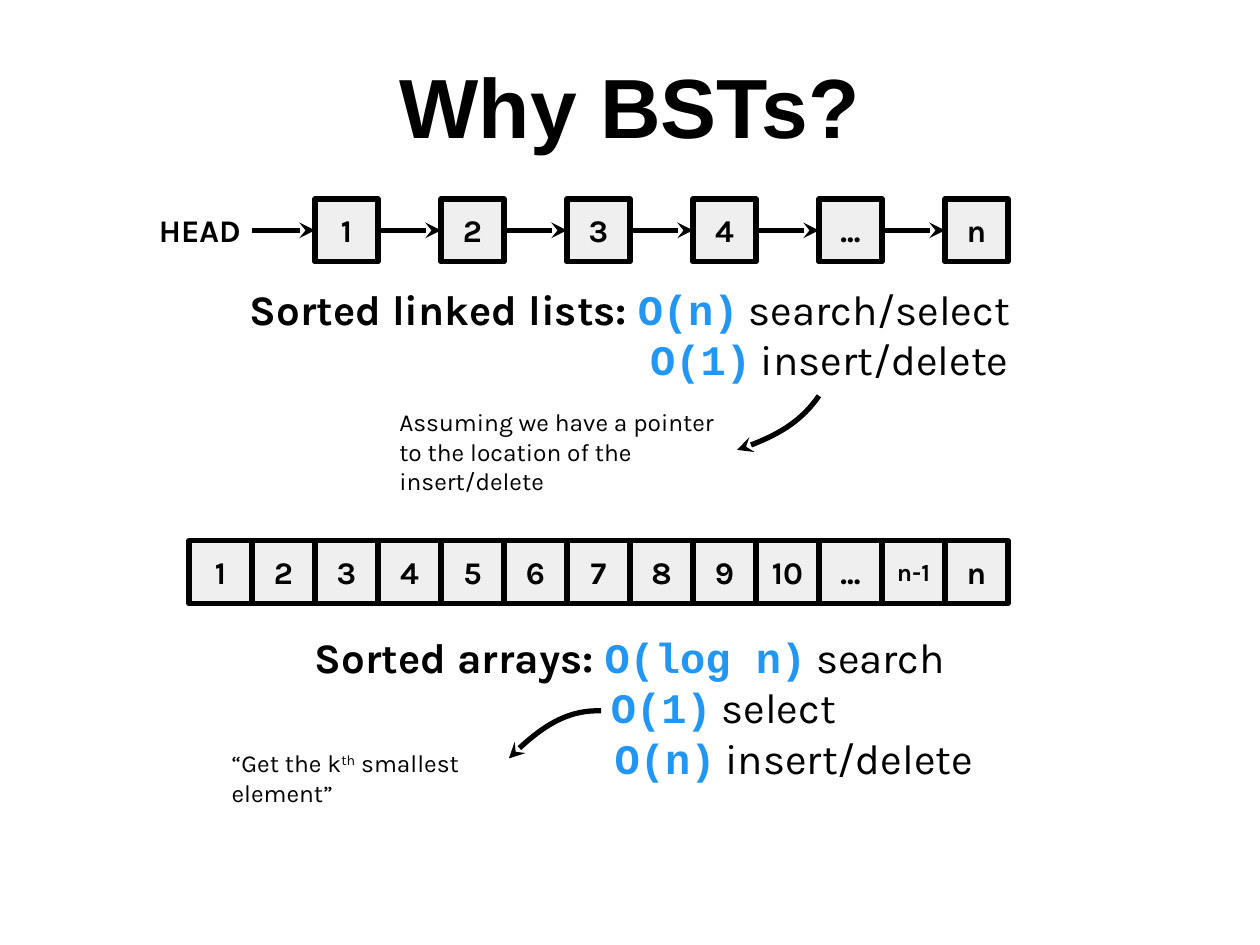
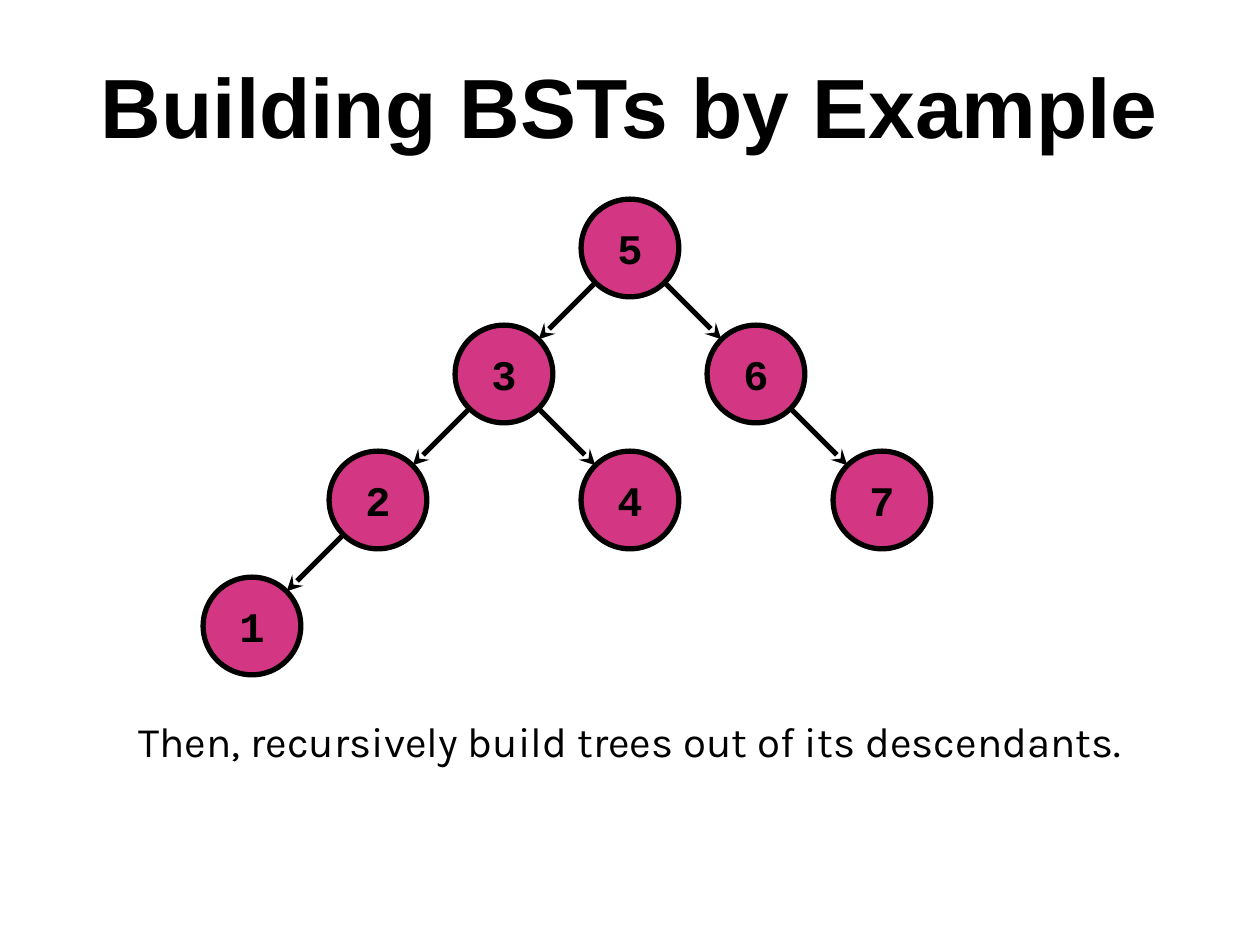
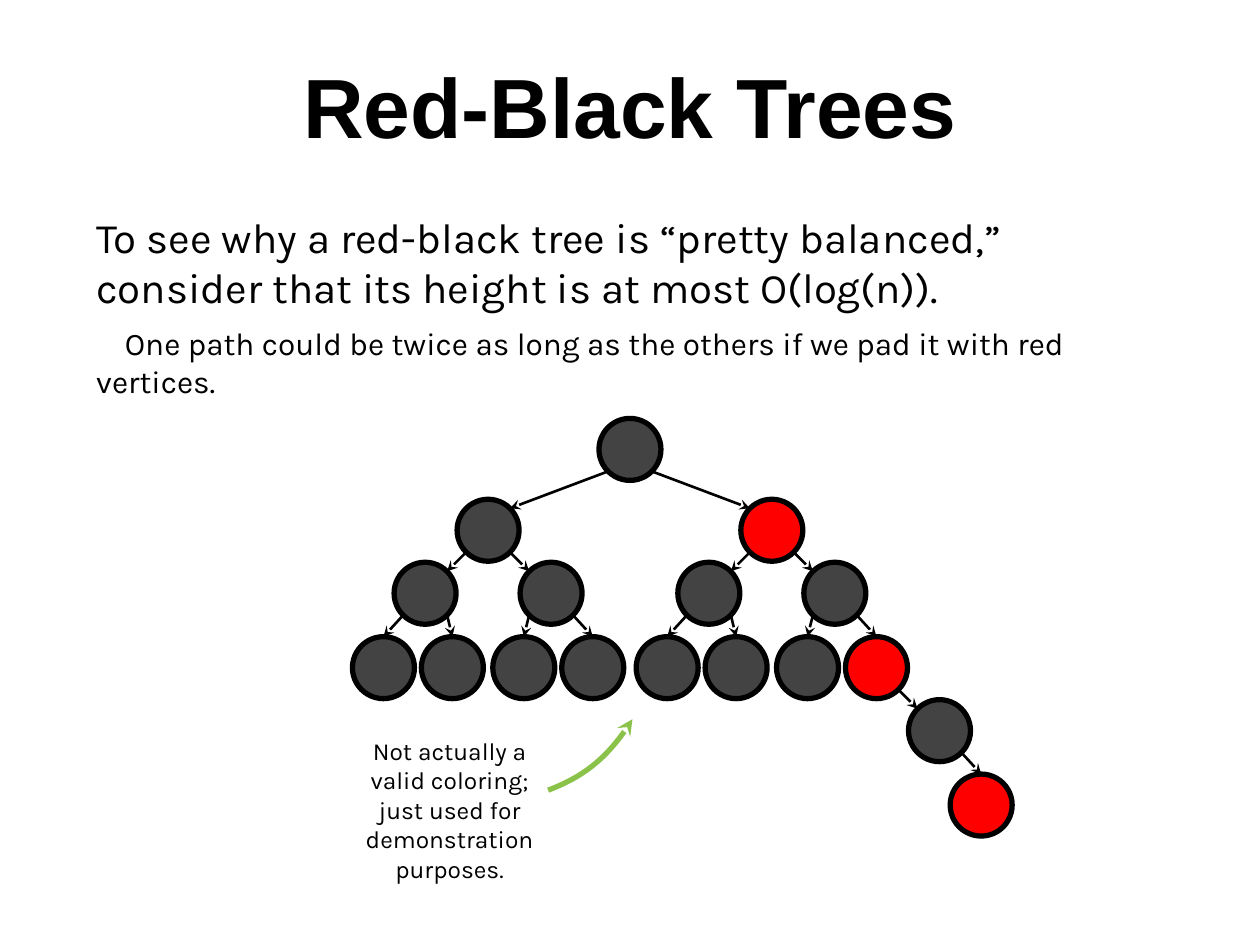
from dataclasses import dataclass
from lxml import etree
from pptx import Presentation
from pptx.dml.color import RGBColor
from pptx.enum.shapes import MSO_CONNECTOR, MSO_SHAPE
from pptx.enum.text import MSO_ANCHOR, MSO_AUTO_SIZE, PP_ALIGN
from pptx.oxml.ns import qn
from pptx.util import Cm, Pt

LEFT, CENTER = PP_ALIGN.LEFT, PP_ALIGN.CENTER
TOP, MIDDLE = MSO_ANCHOR.TOP, MSO_ANCHOR.MIDDLE
NO_AUTOFIT = MSO_AUTO_SIZE.NONE
RECTANGLE, OVAL = MSO_SHAPE.RECTANGLE, MSO_SHAPE.OVAL
STRAIGHT = MSO_CONNECTOR.STRAIGHT
DIAGONAL = 0.71  # share of the radius at 45 degrees


@dataclass(frozen=True)
class Theme:
    """Colours, fonts, type sizes (points) and line widths (points)."""
    ink: str = "000000"
    accent: str = "2196F3"
    cell: str = "EFEFEF"
    pink: str = "D33682"
    dark: str = "434343"
    red: str = "FF0000"
    green: str = "8BC34A"
    title_font: str = "Arial"
    body_font: str = "Karla"
    code_font: str = "Courier New"
    title_size: int = 48
    body_size: int = 24
    label_size: int = 18
    note_size: int = 14
    thick: float = 3
    thin: float = 1.5


@dataclass(frozen=True)
class NodeStyle:
    """Diameter of a tree node (cm) and width of its edges (points)."""
    diameter: float
    edge_width: float


THEME = Theme()
TITLE_FRAME = (0, 0.84, 25.4, 3.17)
BODY_FRAME = (1.69, 4.01, 22.02, 15.04)
CELL = 1.27
GRID_LEFT = 3.81
LARGE_NODE = NodeStyle(1.97, THEME.thick)
SMALL_NODE = NodeStyle(1.25, THEME.thin)


def assign(target, **values):
    """Set several attributes of one object."""
    for name, value in values.items():
        setattr(target, name, value)


def color(value):
    """Turn a hex string into a colour."""
    return RGBColor.from_string(value)


def place(shape, frame):
    """Move and size a shape; the frame is in centimetres."""
    for name, value in zip(("left", "top", "width", "height"), frame):
        setattr(shape, name, Cm(value))


def set_frame(shape, anchor):
    """Give a shape's text frame the common insets and wrapping."""
    inset = Cm(0.25)
    assign(shape.text_frame, word_wrap=True, auto_size=NO_AUTOFIT,
           vertical_anchor=anchor, margin_left=inset, margin_right=inset,
           margin_top=inset, margin_bottom=inset)


def add_run(paragraph, text, size=THEME.body_size, font=THEME.body_font,
            bold=False, ink=THEME.ink, baseline=0):
    """Add a formatted run; baseline is a raise in percent."""
    run = paragraph.add_run()
    run.text = text
    assign(run.font, size=Pt(size), name=font, bold=bold)
    run.font.color.rgb = color(ink)
    if baseline:
        run.font._element.set("baseline", str(baseline * 1000))


def indent(paragraph, margin=0, first_line=0):
    """Set the left margin and first-line indent in centimetres."""
    properties = paragraph._p.get_or_add_pPr()
    properties.set("marL", str(Cm(margin)))
    properties.set("indent", str(Cm(first_line)))


def add_textbox(slide, frame, anchor=MIDDLE, alignment=LEFT):
    """Add an empty text box and return it with its first paragraph."""
    box = slide.shapes.add_textbox(*map(Cm, frame))
    set_frame(box, anchor)
    paragraph = box.text_frame.paragraphs[0]
    paragraph.alignment = alignment
    return box, paragraph


def add_label(slide, frame, text, alignment=LEFT, **format_values):
    """Add a text box holding one run."""
    _, paragraph = add_textbox(slide, frame, alignment=alignment)
    add_run(paragraph, text, **format_values)


def add_title_slide(presentation, title):
    """Add a title-only slide with the common title style."""
    slide = presentation.slides.add_slide(presentation.slide_layouts[5])
    shape = slide.shapes.title
    place(shape, TITLE_FRAME)
    set_frame(shape, TOP)
    paragraph = shape.text_frame.paragraphs[0]
    paragraph.alignment = CENTER
    add_run(paragraph, title, size=THEME.title_size, font=THEME.title_font,
            bold=True)
    return slide


def add_outlined(slide, kind, frame, fill, text="", **format_values):
    """Add a filled shape with a thick outline and a centred label."""
    shape = slide.shapes.add_shape(kind, *map(Cm, frame))
    shape.shadow.inherit = False
    shape.fill.solid()
    shape.fill.fore_color.rgb = color(fill)
    shape.line.color.rgb = color(THEME.ink)
    shape.line.width = Pt(THEME.thick)
    if text:
        set_frame(shape, MIDDLE)
        paragraph = shape.text_frame.paragraphs[0]
        paragraph.alignment = CENTER
        add_run(paragraph, text, bold=True, **format_values)


def style_arrow(shape, ink, width):
    """Colour a line and end it with a stealth arrowhead."""
    shape.line.color.rgb = color(ink)
    shape.line.width = Pt(width)
    outline = shape._element.spPr.find(qn("a:ln"))
    etree.SubElement(outline, qn("a:tailEnd"), type="stealth")


def add_arrow(slide, start, end, width=THEME.thick):
    """Add a straight arrow between two points."""
    connector = slide.shapes.add_connector(STRAIGHT, *map(Cm, start + end))
    style_arrow(connector, THEME.ink, width)
    etree.SubElement(connector._element.spPr, qn("a:effectLst"))


def add_curved_arrow(slide, start, control, end, ink=THEME.ink):
    """Add an arrow along a quadratic curve."""
    builder = slide.shapes.build_freeform(*map(Cm, start))
    builder.add_line_segments(
        [tuple(map(Cm, point)) for point in (control, end)], close=False)
    shape = builder.convert_to_shape()
    shape.shadow.inherit = False
    shape.fill.background()
    segments = list(shape._element.iter(qn("a:lnTo")))
    curve = etree.SubElement(segments[0].getparent(), qn("a:quadBezTo"))
    for segment in segments:
        curve.append(segment[0])
        segment.getparent().remove(segment)
    style_arrow(shape, ink, THEME.thick)


def add_cell(slide, column, top, text):
    """Add one square cell on the horizontal grid."""
    size = THEME.note_size if len(text) > 2 and text != "..." else THEME.label_size
    frame = (GRID_LEFT + column * CELL, top, CELL, CELL)
    add_outlined(slide, RECTANGLE, frame, THEME.cell, text, size=size)


def add_linked_list(slide, top, labels):
    """Add cells two columns apart, each with an arrow leading in."""
    for index, label in enumerate(labels, 1):
        add_cell(slide, 2 * index, top, label)
        left = GRID_LEFT + 2 * index * CELL
        middle = top + CELL / 2
        add_arrow(slide, (left - CELL, middle), (left, middle))


def add_complexities(slide, top, heading, lines):
    """Add a heading followed by (cost, operations, left margin) lines."""
    box, paragraph = add_textbox(slide, (2.59, top, 20.22, 2.9))
    add_run(paragraph, heading, bold=True)
    for index, (cost, operations, margin) in enumerate(lines):
        if index:
            paragraph = box.text_frame.add_paragraph()
        paragraph.alignment = CENTER
        indent(paragraph, margin)
        add_run(paragraph, cost, font=THEME.code_font, bold=True,
                ink=THEME.accent)
        add_run(paragraph, " " + operations)


def add_node(slide, center, style, fill, text=""):
    """Add a round tree node and return its centre."""
    x, y = center
    radius = style.diameter / 2
    frame = (x - radius, y - radius, style.diameter, style.diameter)
    add_outlined(slide, OVAL, frame, fill, text, font=THEME.code_font)
    return center


def add_child(slide, parent, step, style, fill, text=""):
    """Add a node one step from its parent, with an edge between them."""
    across, down = step
    x, y = parent
    child = (x + across, y + down)
    radius = style.diameter / 2
    corner = radius * DIAGONAL
    side = 1 if across > 0 else -1
    start = (x + side * corner, y + corner)
    if down > abs(across):
        end = (child[0], child[1] - radius)
    else:
        end = (child[0] - side * corner, child[1] - corner)
    add_arrow(slide, start, end, style.edge_width)
    return add_node(slide, child, style, fill, text)


def build_motivation(presentation):
    """Compare sorted linked lists with sorted arrays."""
    slide = add_title_slide(presentation, "Why BSTs?")
    add_label(slide, (2.95, 4.11, 2.16, 1.07), "HEAD", CENTER,
              size=THEME.label_size, bold=True)
    add_linked_list(slide, 4.01, ["1", "2", "3", "4", "...", "n"])
    add_complexities(slide, 5.28, "Sorted linked lists: ", [
        ("O(n)", "search/select", 0), ("O(1)", "insert/delete", 8.04)])
    add_curved_arrow(slide, (16.51, 7.98), (16.01, 8.7), (14.86, 9.07))
    add_label(slide, (7.8, 8.2, 7.06, 1.8),
              "Assuming we have a pointer to the location of the insert/delete",
              size=THEME.note_size)

    labels = [str(number) for number in range(1, 11)] + ["...", "n-1", "n"]
    for column, label in enumerate(labels):
        add_cell(slide, column, 10.9, label)
    add_complexities(slide, 12.8, "Sorted arrays: ", [
        ("O(log n)", "search", 0), ("O(1)", "select", 3.77),
        ("O(n)", "insert/delete", 6.61)])
    add_curved_arrow(slide, (12.12, 14.33), (11.21, 14.3), (10.26, 15.29))
    _, note = add_textbox(slide, (4.42, 14.78, 7.06, 1.8))
    for text, baseline in (("“Get the k", 0), ("th", 30),
                           (" smallest element”", 0)):
        add_run(note, text, size=THEME.note_size, baseline=baseline)


def build_example(presentation):
    """Show a finished binary search tree."""
    slide = add_title_slide(presentation, "Building BSTs by Example")
    box, paragraph = add_textbox(slide, BODY_FRAME, TOP, CENTER)
    box.text_frame.margin_top = Cm(10.41)
    add_run(paragraph, "Then, recursively build trees out of its descendants.")

    step = 2.54
    centers = {"5": add_node(slide, (12.7, 5), LARGE_NODE, THEME.pink, "5")}
    for parent, child in ("53", "56", "32", "34", "67", "21"):
        across = step if child > parent else -step
        centers[child] = add_child(slide, centers[parent], (across, step),
                                   LARGE_NODE, THEME.pink, child)


def build_red_black(presentation):
    """Show a red-black tree with one long path."""
    slide = add_title_slide(presentation, "Red-Black Trees")
    box, paragraph = add_textbox(slide, BODY_FRAME, TOP)
    add_run(paragraph, "To see why a red-black tree is “pretty balanced,” "
                       "consider that its height is at most O(log(n)).")
    detail = box.text_frame.add_paragraph()
    detail.space_before = Pt(7)
    indent(detail, first_line=0.58)
    add_run(detail, "One path could be twice as long as the others if we pad "
                    "it with red vertices.", size=THEME.label_size)

    sides = (-1, 1)
    short, long, diagonal, drop = 0.55, 0.84, 1.27, 1.5
    root = add_node(slide, (12.7, 9.06), SMALL_NODE, THEME.dark)
    for side in sides:
        fill = THEME.red if side == 1 else THEME.dark
        branch = add_child(slide, root, (side * 2.86, 1.63), SMALL_NODE, fill)
        for turn in sides:
            twig = add_child(slide, branch, (turn * diagonal, diagonal),
                             SMALL_NODE, THEME.dark)
            for lean in sides:
                reach = long if lean == turn else short
                last = side == turn == lean == 1
                leaf = add_child(slide, twig, (lean * reach, drop), SMALL_NODE,
                                 THEME.red if last else THEME.dark)
    extra = add_child(slide, leaf, (diagonal, diagonal), SMALL_NODE, THEME.dark)
    add_child(slide, extra, (long, drop), SMALL_NODE, THEME.red)

    add_curved_arrow(slide, (11.05, 15.93), (12.13, 15.52), (12.75, 14.5),
                     THEME.green)
    add_label(slide, (7.11, 14.73, 3.91, 3.18),
              "Not actually a valid coloring; just used for demonstration "
              "purposes.", CENTER, size=THEME.note_size)


def main():
    """Build the presentation and save it."""
    presentation = Presentation()
    assign(presentation, slide_width=Cm(25.4), slide_height=Cm(19.05))
    build_motivation(presentation)
    build_example(presentation)
    build_red_black(presentation)
    presentation.save("out.pptx")


main()
